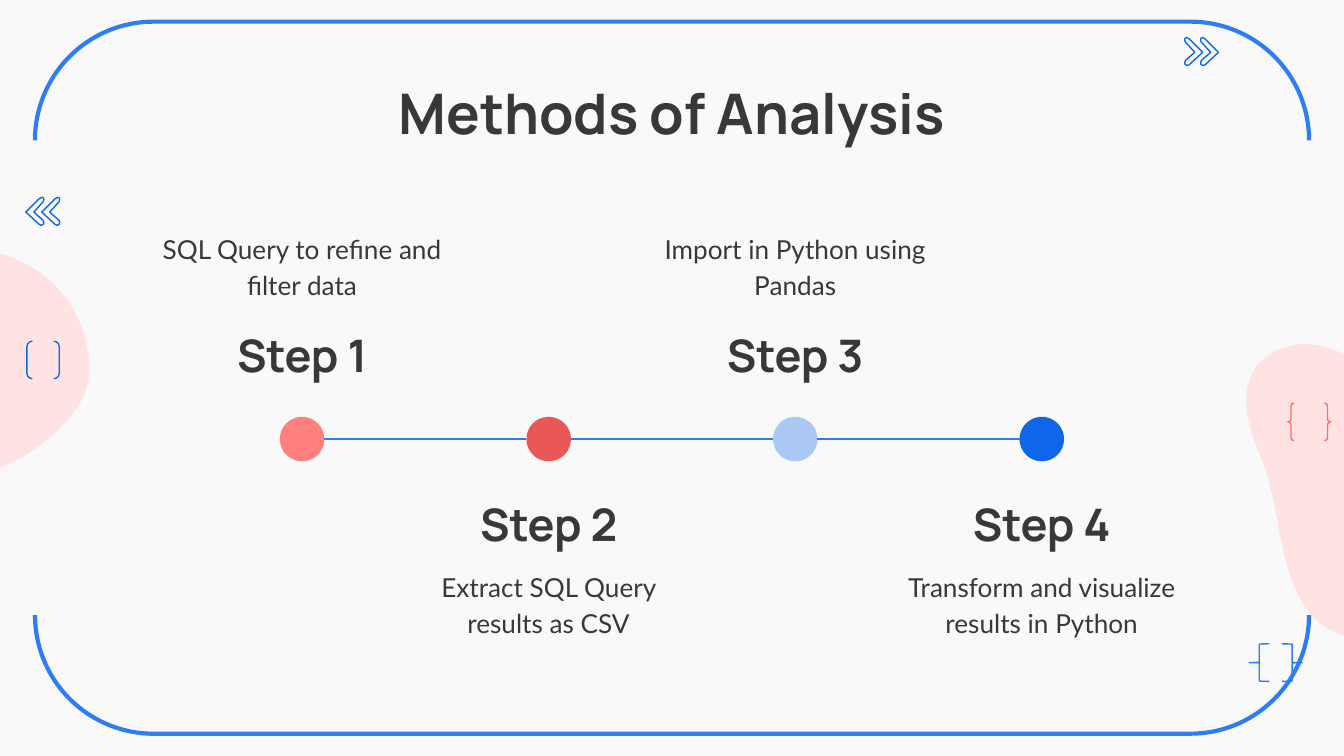
import pptx
import pptx.dml.color
import pptx.enum.shapes
import pptx.enum.text
import pptx.oxml.ns
import pptx.util
from lxml import etree

Cm = pptx.util.Cm
qn = pptx.oxml.ns.qn
SHAPES = pptx.enum.shapes.MSO_SHAPE
ANCHORS = pptx.enum.text.MSO_ANCHOR

INK, PAPER, BLUSH = "383838", "F9F9F9", "FFE3E3"
SKY, BLUE, CORAL = "2E7DF4", "0E66EB", "FF6E6B"

HEAD_FONT = {"name": "Manrope", "size": pptx.util.Pt(24), "bold": True}
TITLE_FONT = {**HEAD_FONT, "size": pptx.util.Pt(30)}
BODY_FONT = {"name": "Lato", "size": pptx.util.Pt(14), "bold": False}

STEPS = [
    ("Step 1", "SQL Query to refine and filter data", "FF807D"),
    ("Step 2", "Extract SQL Query results as CSV", "E95856"),
    ("Step 3", "Import in Python using Pandas", "ABC8F4"),
    ("Step 4", "Transform and visualize results in Python", BLUE),
]

# Outlines in cm from the corner of their box. Blobs: a start point, then
# three points (two controls and an end) for each cubic curve.
LEFT_BLOB = [
    (0.79, 0.1), (0.94, 0.05), (1.07, 0), (1.22, 0),
    (1.78, -0.03), (2.26, 0.36), (2.79, 0.53),
    (3.51, 0.76), (4.19, 0.48), (4.9, 0.56),
    (5.54, 0.61), (6.15, 0.89), (6.55, 1.35),
    (6.78, 1.6), (6.96, 1.96), (7.04, 2.31),
    (7.14, 2.69), (7.14, 3.1), (6.96, 3.43),
    (6.65, 3.96), (6.12, 4.39), (5.54, 4.65),
    (5.41, 4.7), (5.26, 4.75), (5.13, 4.8),
    (5.05, 4.83), (4.98, 4.85), (4.9, 4.85),
    (4.45, 4.95), (3.96, 4.98), (3.53, 4.83),
    (3.05, 4.65), (2.72, 4.34), (2.36, 3.99),
    (1.96, 3.58), (1.47, 3.3), (1.02, 2.95),
    (0.58, 2.59), (0.15, 2.13), (0.08, 1.55),
    (0, 1.19), (0.08, 0.81), (0.28, 0.51),
    (0.43, 0.33), (0.58, 0.18), (0.79, 0.1),
]
RIGHT_BLOB = [
    (0.97, 0), (0.66, 0.05), (0.38, 0.18), (0.2, 0.41),
    (0, 0.69), (-0.03, 1.04), (0.03, 1.35),
    (0.08, 1.68), (0.23, 1.98), (0.33, 2.29),
    (0.79, 3.48), (0.53, 5.46), (2.29, 5.59),
    (2.44, 5.61), (2.59, 5.61), (2.72, 5.59),
    (4.22, 5.44), (4.88, 3.66), (4.52, 2.29),
    (4.42, 1.88), (4.22, 1.5), (3.94, 1.19),
    (3.73, 0.99), (3.51, 0.84), (3.25, 0.71),
    (3.02, 0.64), (2.74, 0.58), (2.49, 0.48),
    (2.24, 0.38), (1.98, 0.23), (1.73, 0.13),
    (1.47, 0.03), (1.22, -0.03), (0.97, 0),
]
CHEVRON = [
    (0.3, 0), (0.25, 0.03), (0, 0.28), (0.25, 0.51), (0.29, 0.53), (0.33, 0.51),
    (0.34, 0.47), (0.32, 0.43), (0.15, 0.28), (0.33, 0.08), (0.34, 0.04), (0.33, 0.01),
]


def colour(code):
    return pptx.dml.color.RGBColor.from_string(code)


def paint(shape, fill=None, line=None, weight=0.75):
    shape.shadow.inherit = False
    if fill:
        shape.fill.solid()
        shape.fill.fore_color.rgb = colour(fill)
    else:
        shape.fill.background()
    if line:
        shape.line.color.rgb = colour(line)
        shape.line.width = pptx.util.Pt(weight)
    else:
        shape.line.fill.background()


def add_preset(page, kind, box, rotation=0, **look):
    shape = page.shapes.add_shape(kind, *map(Cm, box))
    shape.rotation = rotation
    paint(shape, **look)
    return shape


def add_outline(page, left, top, points, **look):
    corners = [(Cm(left + x), Cm(top + y)) for x, y in points]
    builder = page.shapes.build_freeform(*corners[0])
    builder.add_line_segments(corners[1:], close=True)
    shape = builder.convert_to_shape()
    paint(shape, **look)
    return shape


def add_blob(page, left, top, points):
    """Draw an outline and join each three of its lines into one cubic curve."""
    blob = add_outline(page, left, top, points, fill=BLUSH)
    lines = list(blob._element.iter(qn("a:lnTo")))
    for start in range(0, len(lines), 3):
        curve = etree.Element(qn("a:cubicBezTo"))
        lines[start].addprevious(curve)
        for line in lines[start:start + 3]:
            curve.append(line[0])
            line.getparent().remove(line)


def add_chevrons(page, left, top, to_right=False):
    points = [(0.34 - x, y) for x, y in CHEVRON] if to_right else CHEVRON
    for shift in (0, 0.3):
        add_outline(page, left + shift, top, points, line=BLUE)


def write(box, text, font, spacing, anchor=ANCHORS.TOP):
    frame = box.text_frame
    inset = Cm(0.25)
    layout = {"word_wrap": True, "auto_size": pptx.enum.text.MSO_AUTO_SIZE.NONE,
              "vertical_anchor": anchor, "margin_left": inset, "margin_right": inset,
              "margin_top": inset, "margin_bottom": inset}
    for name, value in layout.items():
        setattr(frame, name, value)
    para = frame.paragraphs[0]
    para.alignment = pptx.enum.text.PP_ALIGN.CENTER
    para.line_spacing = spacing
    span = para.add_run()
    span.text = text
    for name, value in font.items():
        setattr(span.font, name, value)
    span.font.color.rgb = colour(INK)


def add_frame(page, left, top, width, height):
    """Rounded lines above and below, from a bracket pair turned on its side."""
    turned = (left + (width - height) / 2, top + (height - width) / 2, height, width)
    add_preset(page, SHAPES.DOUBLE_BRACKET, turned, 90, line=SKY, weight=2.25)


def add_decor(page):
    add_blob(page, -5.42, 4.14, LEFT_BLOB)
    add_blob(page, 23.55, 6.51, RIGHT_BLOB)
    for left, rotation in ((23.61, 0), (24.23, 180)):
        brace = add_preset(page, SHAPES.LEFT_BRACE, (left, 12.17, 0.38, 0.71), rotation, line=SKY)
        brace.adjustments[0] = 0.022
    add_preset(page, SHAPES.DOUBLE_BRACKET, (0.51, 6.45, 0.61, 0.71), line=BLUE)
    add_preset(page, SHAPES.DOUBLE_BRACE, (24.34, 7.62, 0.81, 0.71), line=CORAL)
    add_chevrons(page, 0.49, 3.73)
    add_chevrons(page, 22.39, 0.71, to_right=True)


def add_title(page, text, box):
    title = page.shapes.title
    for name, value in zip(("left", "top", "width", "height"), box):
        setattr(title, name, Cm(value))
    write(title, text, TITLE_FONT, 1)


def add_link(page, start, end, y):
    link = page.shapes.add_connector(pptx.enum.shapes.MSO_CONNECTOR.STRAIGHT,
                                     Cm(start), Cm(y), Cm(end), Cm(y))
    link.line.color.rgb = colour(SKY)
    link.line.width = pptx.util.Pt(0.75)
    etree.SubElement(link._element.spPr, qn("a:effectLst"))


def add_timeline(page, left, top, width, steps):
    """Dots on a line, with texts above and below it in turn."""
    text_width, dot = 5.94, 0.84
    pitch = (width - text_width) / (len(steps) - 1)
    axis = top + 4.22
    for index, (head, body, fill) in enumerate(steps):
        below = index % 2 == 1
        x = left + index * pitch
        head_top, body_top = (5.31, 6.38) if below else (1.71, 0)
        head_box = page.shapes.add_textbox(*map(Cm, (x, top + head_top, text_width, 1.27)))
        write(head_box, head, HEAD_FONT, 1.15, ANCHORS.BOTTOM if below else ANCHORS.TOP)
        body_box = page.shapes.add_textbox(*map(Cm, (x, top + body_top, text_width, 1.6)))
        write(body_box, body, BODY_FONT, 1.15)
        centre = x + text_width / 2
        add_preset(page, SHAPES.OVAL, (centre - dot / 2, axis - dot / 2, dot, dot), fill=fill)
        if index:
            add_link(page, centre - pitch + dot / 2, centre - dot / 2, axis)


def main():
    deck = pptx.Presentation()
    deck.slide_width, deck.slide_height = Cm(25.4), Cm(14.29)
    page = deck.slides.add_slide(deck.slide_layouts[5])
    page.background.fill.solid()
    page.background.fill.fore_color.rgb = colour(PAPER)
    add_frame(page, 0.66, 0.41, 24.08, 13.46)
    add_decor(page)
    add_title(page, "Methods of Analysis", (2, 1.24, 21.4, 1.6))
    add_timeline(page, 2.74, 4.08, 19.92, STEPS)
    deck.save("out.pptx")


if __name__ == "__main__":
    main()
